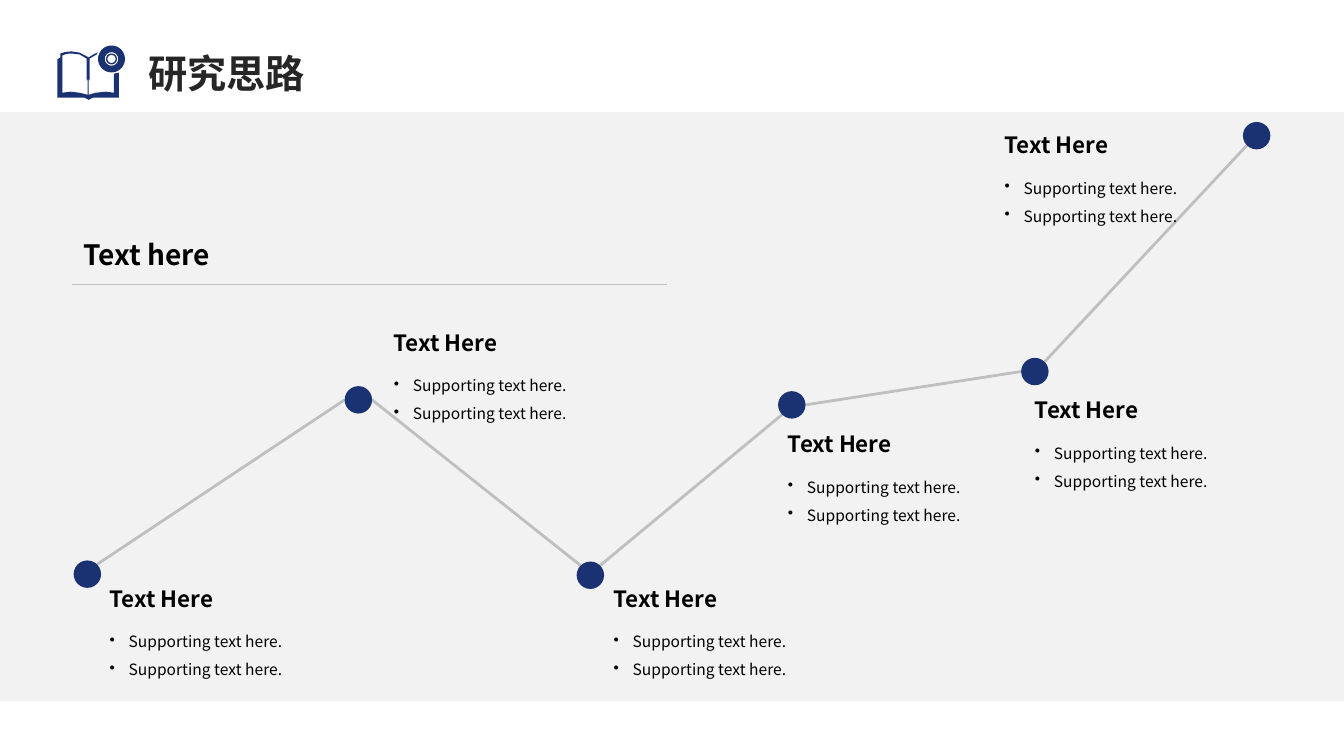
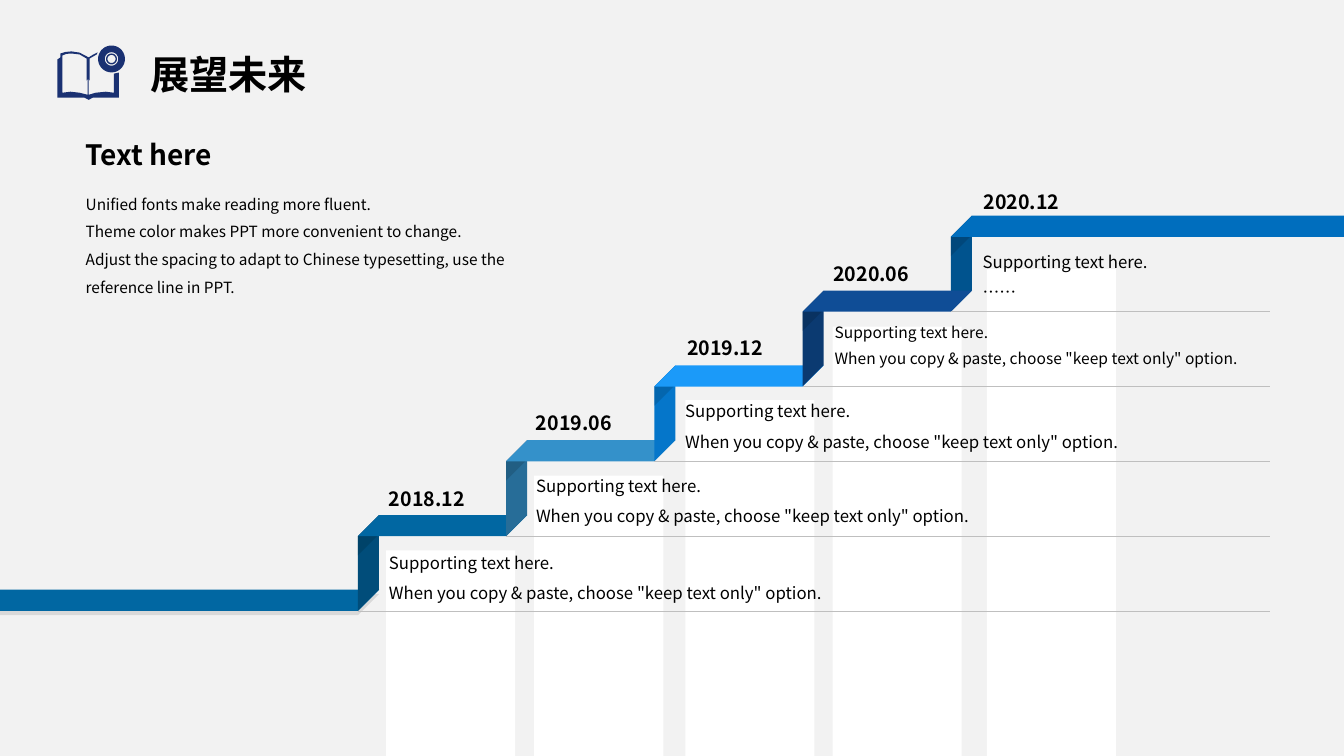
"""Builds a milestone path slide and a staircase timeline slide."""
import math
from dataclasses import dataclass

from lxml import etree
from pptx import Presentation, util as u
from pptx.dml import color
from pptx.enum import shapes, text
from pptx.oxml import ns


@dataclass(frozen=True)
class Theme:
    font: str = "Noto Sans CJK SC"
    navy: str = "1A3172"
    ink: str = "000000"
    soft_ink: str = "262626"
    paper: str = "FFFFFF"
    panel: str = "F2F2F2"
    rule: str = "BFBFBF"
    title: float = 28
    heading: float = 20
    label: float = 16
    date: float = 14
    note: float = 12
    small: float = 11.1
    intro: float = 11


THEME = Theme()
WIDTH, HEIGHT = 960, 540
MARGIN_RIGHT = 907.2
BAND = 15.1

BOOK_COVER = [
    (51.1, 36.7), (56.9, 37.6), (63.4, 41), (66.2, 39.2), (69.8, 37.4), (69.1, 38.9),
    (64.1, 41.8), (64.1, 57.6), (63.4, 56.2), (63.4, 67.7), (68.4, 66.2), (75.6, 65.5),
    (81.4, 66.2), (81.4, 52.6), (85, 51.8), (85, 69.8), (66.2, 69.8), (63.4, 71.3),
    (60.5, 69.8), (41, 69.8), (41, 42.5), (43.2, 41), (43.2, 38.2), (46.8, 37.1),
]
BOOK_PAGE = [
    (51.1, 38.2), (47.5, 38.5), (44.6, 39.6), (44.6, 66.2), (50.4, 65.5), (56.9, 66.2),
    (62.6, 67.7), (62.6, 56.2), (61.9, 57.6), (61.9, 41.8), (56.9, 38.9),
]
DISC_CENTRE = (79.7, 42.1)
DISC_RADII = (9.6, 4.8, 3.9, 2.9)


def on_circle(centre, radius, degrees):
    angle = math.radians(degrees)
    return centre[0] + radius * math.cos(angle), centre[1] + radius * math.sin(angle)


def rgb(value):
    return color.RGBColor.from_string(value)


class Deck:
    def __init__(self, theme):
        self.theme = theme
        self.prs = Presentation()
        self.prs.slide_width, self.prs.slide_height = u.Pt(WIDTH), u.Pt(HEIGHT)
        self.paint(self.prs.slide_master.background, theme.panel)
        self.slide = None

    def paint(self, part, fill):
        part.fill.solid()
        part.fill.fore_color.rgb = rgb(fill)

    def new_slide(self, layout, title, left, top, ink):
        self.slide = self.prs.slides.add_slide(self.prs.slide_layouts[layout])
        heading = self.slide.shapes.title
        self.place(heading, left, top, 854.6, 52.6)
        self.set_text(heading, [title], self.theme.title, bold=True, ink=ink,
                      spacing=0.9, anchor=text.MSO_ANCHOR.BOTTOM)
        self.icon()

    def place(self, part, left, top, width, height):
        part.left, part.top = u.Pt(left), u.Pt(top)
        part.width, part.height = u.Pt(width), u.Pt(height)

    def set_text(self, part, lines, size, bold=False, ink=None, spacing=1.0,
                 bullet=None, anchor=text.MSO_ANCHOR.TOP):
        frame = part.text_frame
        frame.word_wrap = True
        frame.auto_size = text.MSO_AUTO_SIZE.NONE
        frame.vertical_anchor = anchor
        frame.text = "\n".join(lines)
        for paragraph in frame.paragraphs:
            props = paragraph._p.get_or_add_pPr()
            indent = u.Pt(13.5) if bullet else 0
            props.set("marL", str(indent))
            props.set("indent", str(-indent))
            if bullet:
                etree.SubElement(props, ns.qn("a:buChar"), char=bullet)
            else:
                etree.SubElement(props, ns.qn("a:buNone"))
            paragraph.alignment = text.PP_ALIGN.LEFT
            paragraph.line_spacing = spacing
            paragraph.space_before = u.Pt(0)
            font = paragraph.font
            font.size, font.bold, font.name = u.Pt(size), bold, self.theme.font
            font.color.rgb = rgb(ink or self.theme.ink)
            etree.SubElement(props.find(ns.qn("a:defRPr")), ns.qn("a:ea"),
                             typeface=self.theme.font)

    def text_box(self, lines, left, top, width, height, size, **style):
        box = self.slide.shapes.add_textbox(0, 0, 0, 0)
        self.place(box, left, top, width, height)
        self.set_text(box, lines, size, **style)
        return box

    def body(self, lines, left, top, width, height, size, **style):
        body = self.slide.placeholders[1]
        self.place(body, left, top, width, height)
        self.set_text(body, lines, size, **style)

    def finish(self, part, fill):
        self.paint(part, fill)
        part.line.fill.background()
        part.shadow.inherit = False
        return part

    def shape(self, kind, left, top, width, height, fill):
        part = self.slide.shapes.add_shape(
            kind, u.Pt(left), u.Pt(top), u.Pt(width), u.Pt(height))
        return self.finish(part, fill)

    def line(self, start, end, weight):
        rule = self.slide.shapes.add_connector(
            shapes.MSO_CONNECTOR.STRAIGHT, *(u.Pt(value) for value in (*start, *end)))
        rule.line.color.rgb = rgb(self.theme.rule)
        rule.line.width = u.Pt(weight)
        etree.SubElement(rule._element.spPr, ns.qn("a:effectLst"))

    def icon(self):
        rings = [[on_circle(DISC_CENTRE, radius, step * 10) for step in range(36)]
                 for radius in DISC_RADII]
        outlines = [[(u.Pt(x), u.Pt(y)) for x, y in outline]
                    for outline in (BOOK_COVER, BOOK_PAGE, *rings)]
        builder = self.slide.shapes.build_freeform(*outlines[0][0])
        for outline in outlines:
            builder.move_to(*outline[0])
            builder.add_line_segments(outline[1:], close=True)
        self.finish(builder.convert_to_shape(), self.theme.navy)

    def tread(self, left, top, width, fill):
        band = self.shape(shapes.MSO_SHAPE.PARALLELOGRAM, left, top, width, BAND, fill)
        band.adjustments[0] = 1.0
        return band

    def riser(self, left, top, height, fill, opacity=100):
        shift = (height - BAND) / 2
        band = self.tread(left - shift, top + shift, height, fill)
        band.rotation = 90
        props = band._element.spPr
        props.find(ns.qn("a:xfrm")).set("flipH", "1")
        if opacity < 100:
            etree.SubElement(props.find(".//" + ns.qn("a:srgbClr")), ns.qn("a:alpha"),
                             val=str(opacity * 1000))

    def drop_shadow(self, part, opacity, distance):
        effects = part._element.spPr.find(ns.qn("a:effectLst"))
        shadow = etree.SubElement(effects, ns.qn("a:outerShdw"), blurRad="0",
                                  dist=str(u.Pt(distance)), dir="5400000",
                                  algn="t", rotWithShape="0")
        tint = etree.SubElement(shadow, ns.qn("a:srgbClr"), val=self.theme.ink)
        etree.SubElement(tint, ns.qn("a:alpha"), val=str(opacity * 1000))


def research_path(deck):
    theme = deck.theme
    deck.new_slide(5, "研究思路", 98.6, 20.2, theme.soft_ink)
    deck.paint(deck.slide.background, theme.paper)
    deck.shape(shapes.MSO_SHAPE.RECTANGLE, 0, 80, WIDTH, 421, theme.panel)

    radius = 9.8
    milestones = [
        ((62.4, 410.1), None, -45, (71.3, 413.3)),
        ((256, 285.6), 180, 0, (274.3, 230.4)),
        ((421.7, 410.9), 225, -45, (431.3, 413.3)),
        ((565.6, 289.2), 135, 0, (555.8, 303.1)),
        ((739.2, 265.4), 180, -45, (732.2, 278.6)),
        ((897.6, 96.9), 135, None, (710.6, 89.3)),
    ]
    for (start, _, leave, _), (end, arrive, _, _) in zip(milestones, milestones[1:]):
        deck.line(on_circle(start, radius, leave), on_circle(end, radius, arrive), 2)
    for (x, y), _, _, (left, top) in milestones:
        deck.shape(shapes.MSO_SHAPE.OVAL, x - radius, y - radius,
                   2 * radius, 2 * radius, theme.navy)
        deck.text_box(["Text Here"], left, top, 168.5, 28.1, theme.label, bold=True,
                      anchor=text.MSO_ANCHOR.MIDDLE)
        deck.text_box(["Supporting text here."] * 2, left, top + 28.1, 168.5, 51.8,
                      theme.small, spacing=1.5, bullet="•")

    deck.text_box(["Text here"], 52.6, 166.3, 452.9, 34.6, theme.heading, bold=True)
    deck.line((51.1, 202.9), (476.6, 202.9), 0.25)


def future_steps(deck):
    theme = deck.theme
    deck.new_slide(1, "展望未来", 100.1, 20.9, theme.ink)
    support = "Supporting text here."
    advice = 'When you copy & paste, choose "keep text only" option.'
    steps = [
        ("2018.12", advice, ("0167A2", "014D7A", "003451")),
        ("2019.06", advice, ("3491CA", "276D98", "1A4865")),
        ("2019.12", advice, ("1B9AF9", "0576CA", "044E86")),
        ("2020.06", advice, ("0F4D96", "0B3A71", "08264B")),
        ("2020.12", "……", ("006EBE", "00538E", "00375F")),
    ]
    columns = [(275.8, 393.1), (381.6, 339.8), (489.6, 285.8), (594.7, 233.3), (704.9, 192.2)]
    dates = [(270.7, 335.5), (375.8, 280.8), (483.8, 227.5), (588.2, 174.2), (695.5, 123.1)]
    notes = [(270.7, 383.8), (375.8, 329), (482.4, 275.8), (589, 221.8), (694.8, 169.2)]
    riser_height = 68.4
    corners = [(255.6 + 105.9 * i, 367.9 - 53.45 * i) for i in range(len(steps))]

    for left, top in columns:
        deck.shape(shapes.MSO_SHAPE.RECTANGLE, left, top, 92.2, HEIGHT - top, theme.paper)

    ground = deck.tread(-15.8, 421.2, 286.6, steps[0][2][0])
    deck.drop_shadow(ground, 10, 3)
    for i in (0, 1, 2, 4, 3):
        left, top = corners[i]
        face, side, fold = steps[i][2]
        deck.riser(left, top, riser_height, side)
        deck.riser(left, top, 28.8, fold, opacity=40)
        deck.tread(left, top, 297.4 if i == 4 else 121, face)

    deck.body(["Unified fonts make reading more fluent.",
               "Theme color makes PPT more convenient to change.",
               "Adjust the spacing to adapt to Chinese typesetting, "
               "use the reference line in PPT."],
              54, 128.9, 342.7, 114.5, theme.intro, spacing=1.5)
    deck.text_box(["Text here"], 54, 94.3, 342.7, 34.6, theme.heading, bold=True)

    for i, (date, detail, _) in enumerate(steps):
        stamp = deck.text_box([date], *dates[i], 105, 32.4, theme.date, bold=True,
                              anchor=text.MSO_ANCHOR.BOTTOM)
        stamp.text_frame.margin_bottom = u.Pt(3)
        size, spacing = (theme.small, 1.4) if i == 3 else (theme.note, 1.5)
        left, top = notes[i]
        deck.text_box([support, detail], left, top, MARGIN_RIGHT - left, 64, size,
                      spacing=spacing)
        left, top = corners[i]
        base = top + riser_height
        deck.line((left, base), (MARGIN_RIGHT, base), 0.25)


def main():
    deck = Deck(THEME)
    research_path(deck)
    future_steps(deck)
    deck.prs.save("out.pptx")


if __name__ == "__main__":
    main()
